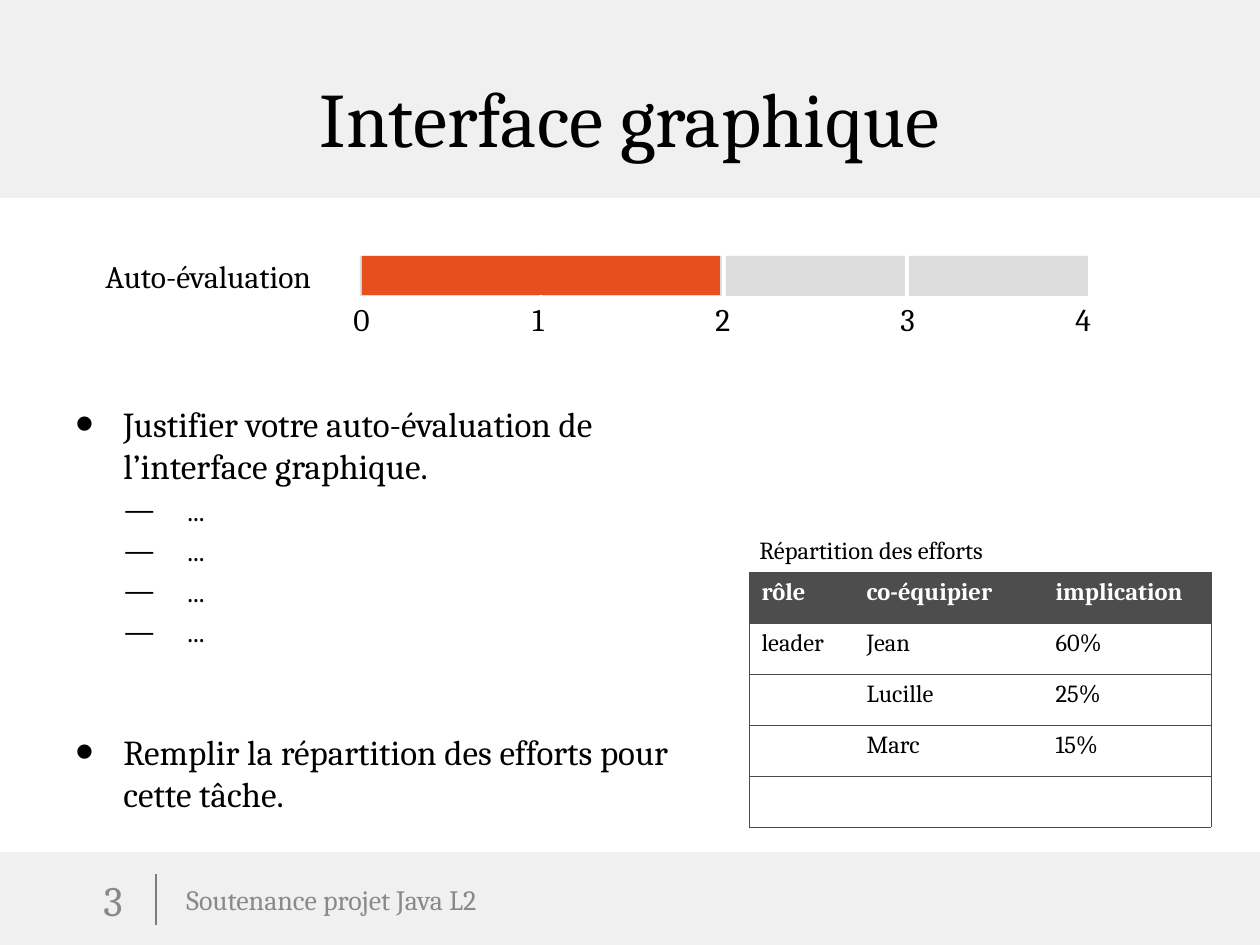
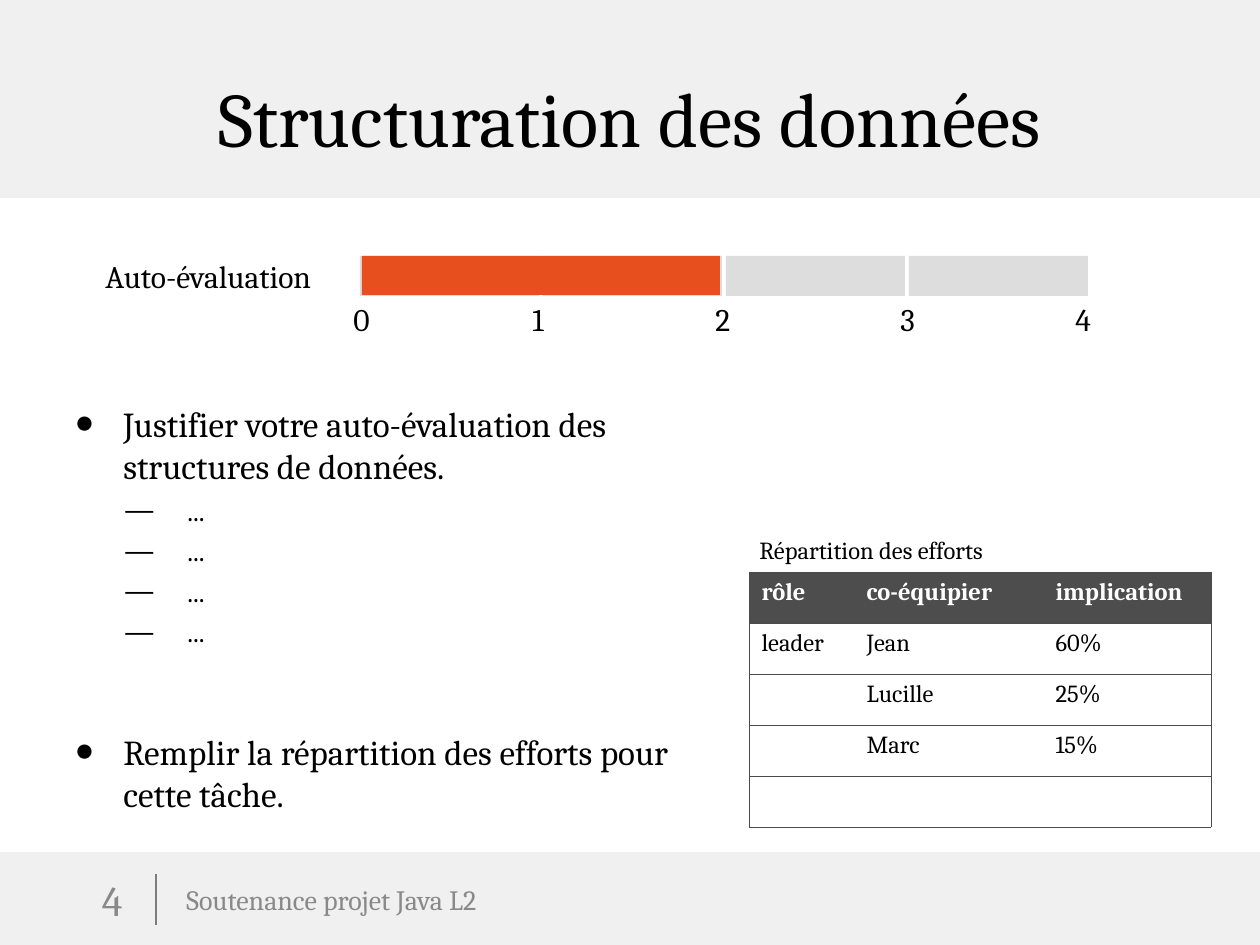
from lxml import etree
from pptx import Presentation
from pptx import util as u
from pptx.dml.color import RGBColor
from pptx.enum import shapes, text
from pptx.oxml import ns

PX = u.Inches(1) / 126
FONT = "Cambria"
BLACK, WHITE, GREY_TEXT = "000000", "FFFFFF", "898989"
BAND, DIVIDER, EMPTY_STEP, SCORE = "F0F0F0", "7D7D7D", "DDDDDD", "E7501E"
HEADER_FILL, GRID = "4D4D4D", "4B4B4B"

SLIDES = [
    ("3", "Interface graphique",
     "Justifier votre auto-évaluation de l’interface graphique."),
    ("4", "Structuration des données",
     "Justifier votre auto-évaluation des structures de données."),
]
EFFORTS = [
    ("rôle", "co-équipier", "implication"),
    ("leader", "Jean", "60%"),
    ("", "Lucille", "25%"),
    ("", "Marc", "15%"),
    ("", "", ""),
]


def px(length):
    return u.Emu(round(length * PX))


def color(value):
    return RGBColor.from_string(value)


def add_xml(parent, tag, **attributes):
    return etree.SubElement(parent, ns.qn(tag), attributes)


def add_span(para, words, size, ink=BLACK, bold=False):
    span = para.add_run()
    span.text = words
    span.font.name, span.font.size, span.font.bold = FONT, u.Pt(size), bold
    span.font.color.rgb = color(ink)


def set_frame(frame, anchor, wrap=True):
    frame.word_wrap = wrap
    frame.vertical_anchor = anchor
    frame.margin_left = frame.margin_right = u.Inches(0.1)
    frame.margin_top = frame.margin_bottom = u.Inches(0.05)


def add_box(page, box, anchor=text.MSO_ANCHOR.TOP, wrap=True):
    frame = page.shapes.add_textbox(*map(px, box)).text_frame
    set_frame(frame, anchor, wrap)
    return frame


def add_label(page, box, words, size, ink=BLACK, align=text.PP_ALIGN.LEFT, **options):
    para = add_box(page, box, **options).paragraphs[0]
    para.alignment = align
    add_span(para, words, size, ink)


def add_rect(page, box, fill, outline=0):
    rect = page.shapes.add_shape(shapes.MSO_SHAPE.RECTANGLE, *map(px, box))
    rect.shadow.inherit = False
    rect.fill.solid()
    rect.fill.fore_color.rgb = color(fill)
    if outline:
        rect.line.color.rgb = color(fill)
        rect.line.width = u.Pt(outline)
    else:
        rect.line.fill.background()


# Title band
def add_header(page, box, title):
    left, top, width, height = box
    add_rect(page, box, BAND, outline=2)
    holder = page.shapes.title
    holder.element.getparent().append(holder.element)  # bring above the band
    holder.left, holder.top = px(left + 63), px(top + 38)
    holder.width, holder.height = px(width - 126), px(height - 38)
    set_frame(holder.text_frame, text.MSO_ANCHOR.MIDDLE)
    para = holder.text_frame.paragraphs[0]
    para.alignment = text.PP_ALIGN.CENTER
    add_span(para, title, 44)


# Footer band: number, divider, name of the talk
def add_footer(page, box, number):
    left, top, _, _ = box
    add_rect(page, box, BAND, outline=2)
    x, y = px(left + 156), top + 20
    divider = page.shapes.add_connector(
        shapes.MSO_CONNECTOR.STRAIGHT, x, px(y), x, px(y + 51))
    divider.line.color.rgb = color(DIVIDER)
    divider.line.width = u.Pt(1.5)
    add_xml(divider.element.spPr, "a:effectLst")
    middle = text.MSO_ANCHOR.MIDDLE
    add_label(page, (left + 25, y, 110, 51), number, 24, GREY_TEXT,
              text.PP_ALIGN.RIGHT, anchor=middle)
    add_label(page, (left + 174, y, 615, 51), "Soutenance projet Java L2", 16,
              GREY_TEXT, anchor=middle)


# Self-assessment scale, with the score over the empty steps
def add_scale(page, box, score):
    left, top, _, height = box
    bar_left, pitch, gap = left + 267, 183, 4
    add_label(page, (left, top - 5, 287, 50), "Auto-évaluation", 18)
    for step in range(4):
        add_rect(page, (bar_left + step * pitch, top, pitch - gap, height), EMPTY_STEP)
    for mark, offset in enumerate((-19, 160, 343, 528, 703)):
        add_label(page, (bar_left + offset, top + 38, 39, 50), str(mark), 18)
    add_rect(page, (bar_left + 2, top, score * pitch - 2 * gap, height - 1), SCORE)


def add_bullet(para, level, sign, margin, hang, percent):
    para.level = level
    properties = para._p.get_or_add_pPr()
    properties.set("marL", str(px(margin)))
    properties.set("indent", str(-px(hang)))
    ink = add_xml(properties, "a:buClr")
    add_xml(ink, "a:srgbClr", val=BLACK)
    add_xml(properties, "a:buSzPct", val=str(percent * 1000))
    add_xml(properties, "a:buFont", typeface="Arial")
    add_xml(properties, "a:buChar", char=sign)


# Instructions: two bullets, the first with dashes to fill in
def add_instructions(page, box, first):
    frame = add_box(page, box, text.MSO_ANCHOR.MIDDLE)
    last = "Remplir la répartition des efforts pour cette tâche."
    items = [(0, first, 0), *[(1, "...", 4)] * 4, (0, last, 47)]
    for index, (level, words, before) in enumerate(items):
        para = frame.add_paragraph() if index else frame.paragraphs[0]
        if level:
            add_bullet(para, level, "—", 112, 62, 100)
        else:
            add_bullet(para, level, "•", 48, 48, 150)
        para.space_before = u.Pt(before)
        add_span(para, words, 16 if level else 20)


def set_borders(cell, drawn):
    properties = cell._tc.get_or_add_tcPr()
    for index, side in enumerate("LRTB"):
        line = etree.Element(ns.qn("a:ln" + side), w=str(u.Pt(0.34)))
        if side in drawn:
            fill = add_xml(line, "a:solidFill")
            add_xml(fill, "a:srgbClr", val=GRID)
        else:
            add_xml(line, "a:noFill")
        properties.insert(index, line)


# Captioned table of who did what
def add_efforts(page, box):
    left, top, width, height = box
    add_label(page, (left - 2, top - 43, 249, 43), "Répartition des efforts", 14,
              wrap=False)
    table = page.shapes.add_table(len(EFFORTS), 3, *map(px, box)).table
    table.first_row = table.horz_banding = False
    for column, share in zip(table.columns, (105, 189, width - 294)):
        column.width = px(share)
    for row_index, values in enumerate(EFFORTS):
        table.rows[row_index].height = px(height / len(EFFORTS))
        for column_index, words in enumerate(values):
            cell = table.cell(row_index, column_index)
            header = row_index == 0
            if header:
                cell.fill.solid()
                cell.fill.fore_color.rgb = color(HEADER_FILL)
            else:
                cell.fill.background()
            set_borders(cell, "TB" + ("L", "", "R")[column_index])
            if words:
                add_span(cell.text_frame.paragraphs[0], words, 14,
                         WHITE if header else BLACK, header)


def add_task_slide(deck, number, title, first):
    page = deck.slides.add_slide(deck.slide_layouts[5])
    add_footer(page, (0, 854, 1260, 91), number)
    add_header(page, (0, 0, 1260, 196), title)
    add_scale(page, (93, 256, 994, 40), score=2)
    add_instructions(page, (63, 373, 667, 471), first)
    add_efforts(page, (749, 572, 462, 255))


def main():
    deck = Presentation()
    deck.slide_width, deck.slide_height = px(1260), px(945)
    for content in SLIDES:
        add_task_slide(deck, *content)
    deck.save("out.pptx")


if __name__ == "__main__":
    main()
